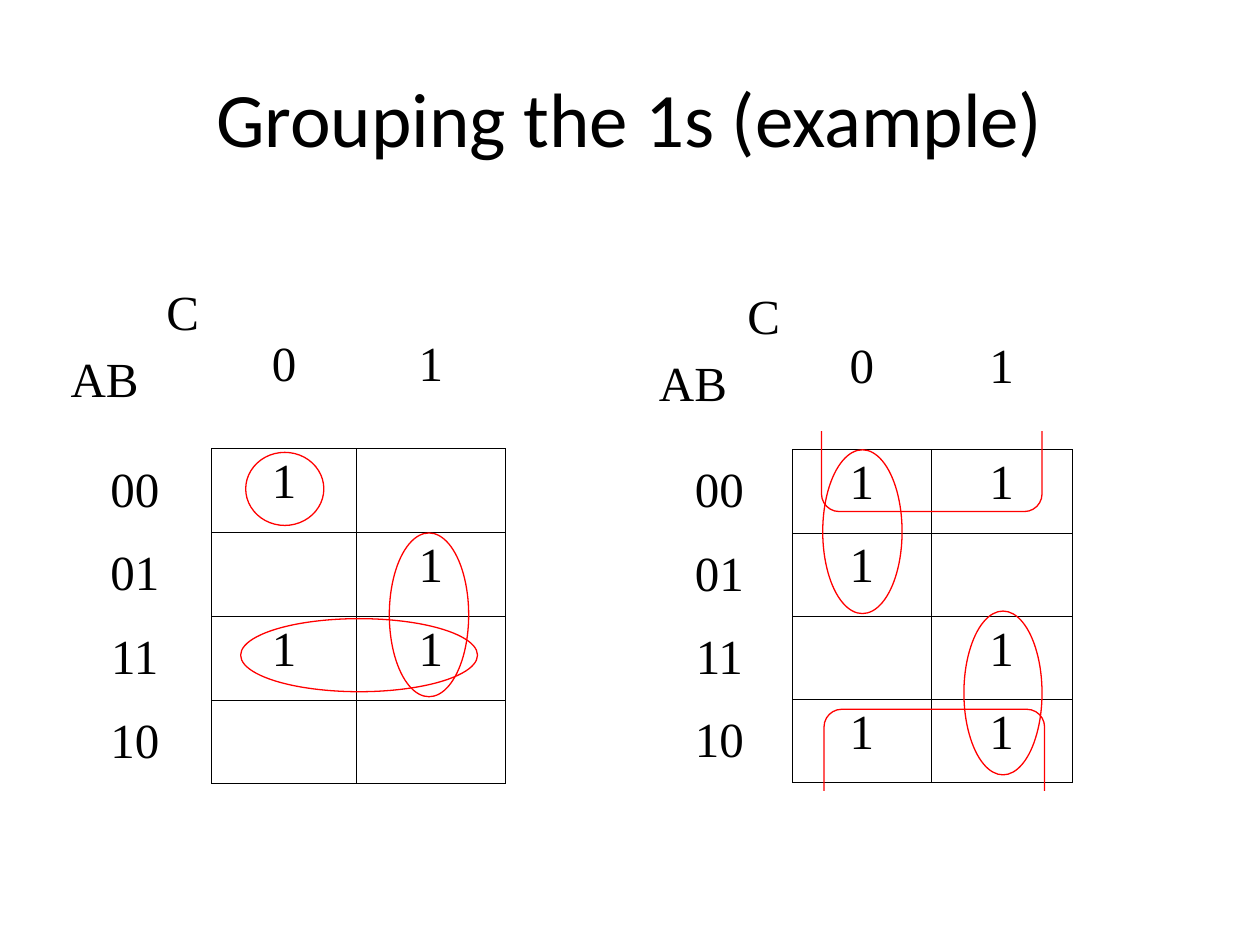
import dataclasses
import typing

import pptx
import pptx.dml.color
import pptx.enum.shapes
import pptx.enum.text
import pptx.oxml
import pptx.oxml.ns
import pptx.util

Inches = pptx.util.Inches
Pt = pptx.util.Pt
Align = pptx.enum.text.PP_ALIGN
Anchor = pptx.enum.text.MSO_ANCHOR
Kind = pptx.enum.shapes.MSO_SHAPE


@dataclasses.dataclass(frozen=True)
class Theme:
    ink: str = "000000"
    ring: str = "FF0000"
    paper: str = "FFFFFF"
    head: str = "Calibri"
    body: str = "Times New Roman"
    large: float = 44
    small: float = 28
    gap: float = 7
    edge: float = 0.45
    line: float = 0.75


THEME = Theme()


class Box(typing.NamedTuple):
    left: float
    top: float
    width: float
    height: float


class Grid(typing.NamedTuple):
    box: Box
    cols: tuple[float, ...]
    rows: tuple[float, ...]
    bits: tuple[str, ...]


class Wrap(typing.NamedTuple):
    loop: Box
    mask: Box
    flip: bool


CODES = ("00", "01", "11", "10")
GRIDS = (
    Grid(Box(0.46, 2.23, 3.55, 3.98), (1.22, 1.15, 1.18),
         (1.33,) + (0.665,) * 4, ("1 ", " 1", "11", "  ")),
    Grid(Box(5.13, 2.26, 3.38, 3.95), (1.16, 1.1, 1.12),
         (1.31,) + (0.66,) * 4, ("11", "1 ", " 1", "11")),
)
LEFT_RINGS = (
    Box(3.09, 4.23, 0.63, 1.3),
    Box(1.95, 3.59, 0.62, 0.58),
    Box(1.91, 4.91, 1.88, 0.58),
)
WRAPS = (
    Wrap(Box(6.52, 3.22, 1.75, 0.84), Box(6.36, 3.09, 2.08, 0.33), False),
    Wrap(Box(6.54, 5.63, 1.75, 0.84), Box(6.39, 6.28, 2.08, 0.33), True),
)
RIGHT_RINGS = (Box(6.53, 3.57, 0.63, 1.3), Box(7.65, 4.85, 0.62, 1.3))


def paint(code: str) -> pptx.dml.color.RGBColor:
    return pptx.dml.color.RGBColor.from_string(code)


def write(para, text: str, *, font: str = THEME.body, size: float = THEME.small,
          align: Align = Align.CENTER, gap: float = THEME.gap) -> None:
    para.alignment = align
    para.space_before = Pt(gap)
    run = para.add_run()
    run.text = text
    run.font.name = font
    run.font.size = Pt(size)
    run.font.color.rgb = paint(THEME.ink)


def rule(cell, sides: str) -> None:
    cell.fill.background()
    props = cell._tc.get_or_add_tcPr()
    space = pptx.oxml.ns.nsdecls("a")
    for spot, side in enumerate("LRTB"):
        if side in sides:
            fill = f'<a:solidFill><a:srgbClr val="{THEME.ink}"/></a:solidFill>'
            width = int(Pt(THEME.edge))
        else:
            fill, width = "<a:noFill/>", 0
        props.insert(spot, pptx.oxml.parse_xml(
            f'<a:ln{side} {space} w="{width}">{fill}</a:ln{side}>'))


def draw_grid(shapes, grid: Grid) -> None:
    frame = shapes.add_table(len(grid.rows), len(grid.cols), *map(Inches, grid.box))
    table = frame.table
    table.first_row = table.horz_banding = False
    for col, width in zip(table.columns, grid.cols):
        col.width = Inches(width)
    for row, height in zip(table.rows, grid.rows):
        row.height = Inches(height)
    lines = ("C01",) + tuple(zip(CODES, *zip(*grid.bits)))
    for r, line in enumerate(lines):
        for c, text in enumerate(line):
            cell = table.cell(r, c)
            rule(cell, ("LT" if r and c else "") + ("R" if r else "") + ("B" if c else ""))
            para = cell.text_frame.paragraphs[0]
            if r == c == 0:
                write(para, text, align=Align.RIGHT)
                write(cell.text_frame.add_paragraph(), "AB", align=Align.LEFT)
            elif text.strip():
                write(para, text)
            if (r == 0) != (c == 0):
                cell.vertical_anchor = Anchor.MIDDLE


def draw_shape(shapes, kind: Kind, box: Box, line: str, fill: str | None = None):
    shape = shapes.add_shape(kind, *map(Inches, box))
    shape.shadow.inherit = False
    shape.line.color.rgb = paint(line)
    shape.line.width = Pt(THEME.line)
    if fill:
        shape.fill.solid()
        shape.fill.fore_color.rgb = paint(fill)
    else:
        shape.fill.background()
    return shape


def draw_rings(shapes, rings: tuple[Box, ...]) -> None:
    for ring in rings:
        draw_shape(shapes, Kind.OVAL, ring, THEME.ring)


def draw_wrap(shapes, wrap: Wrap) -> None:
    group = shapes.add_group_shape().shapes
    loop = draw_shape(group, Kind.FLOWCHART_ALTERNATE_PROCESS, wrap.loop, THEME.ring)
    mask = draw_shape(group, Kind.RECTANGLE, wrap.mask, THEME.paper, THEME.paper)
    if wrap.flip:
        for shape in (loop, mask):
            shape._element.spPr.xfrm.set("flipV", "1")


def main() -> None:
    deck = pptx.Presentation()
    deck.slide_width, deck.slide_height = Inches(10), Inches(7.5)
    slide = deck.slides.add_slide(deck.slide_layouts[5])
    shapes = slide.shapes
    title = shapes.title
    title.left, title.top, title.width, title.height = map(Inches, (0.5, 0.3, 9, 1.25))
    title.text_frame.vertical_anchor = Anchor.MIDDLE
    write(title.text_frame.paragraphs[0], "Grouping the 1s (example)",
          font=THEME.head, size=THEME.large, gap=0)
    for grid in GRIDS:
        draw_grid(shapes, grid)
    draw_rings(shapes, LEFT_RINGS)
    for wrap in WRAPS:
        draw_wrap(shapes, wrap)
    draw_rings(shapes, RIGHT_RINGS)
    deck.save("out.pptx")


if __name__ == "__main__":
    main()
